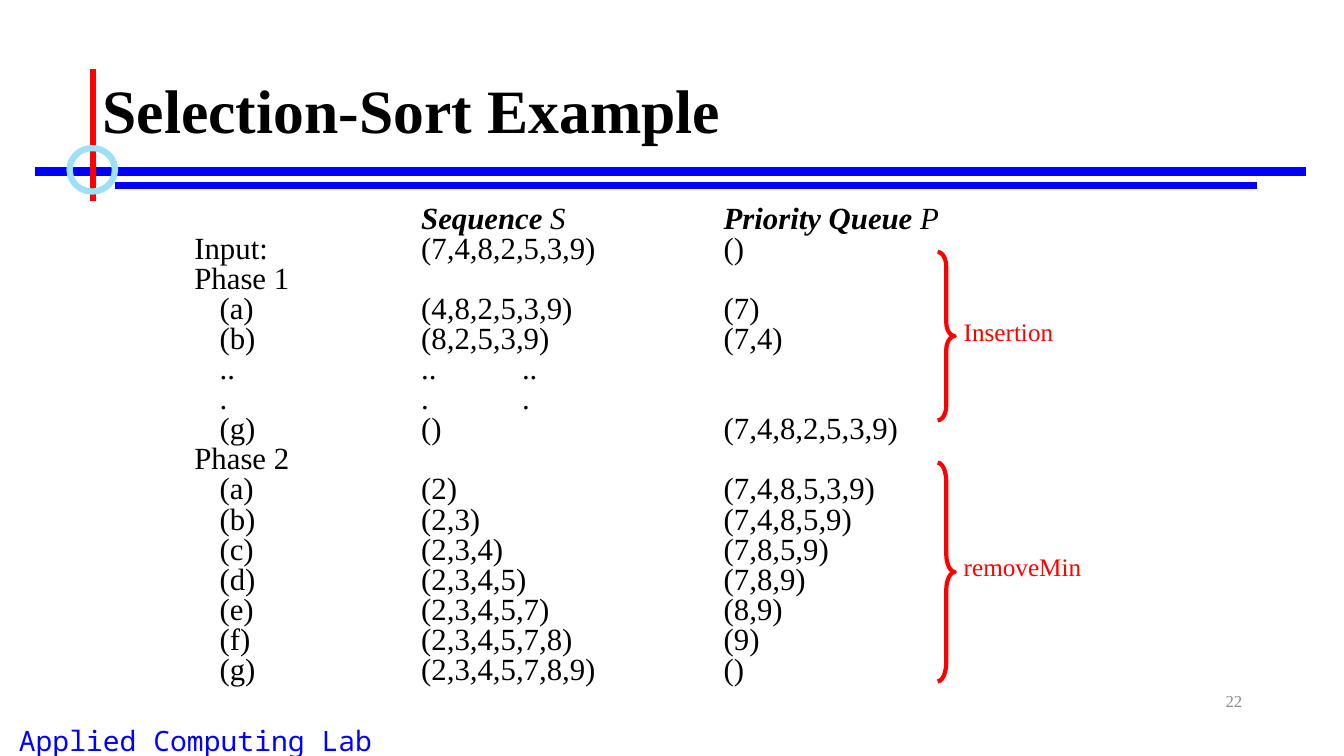
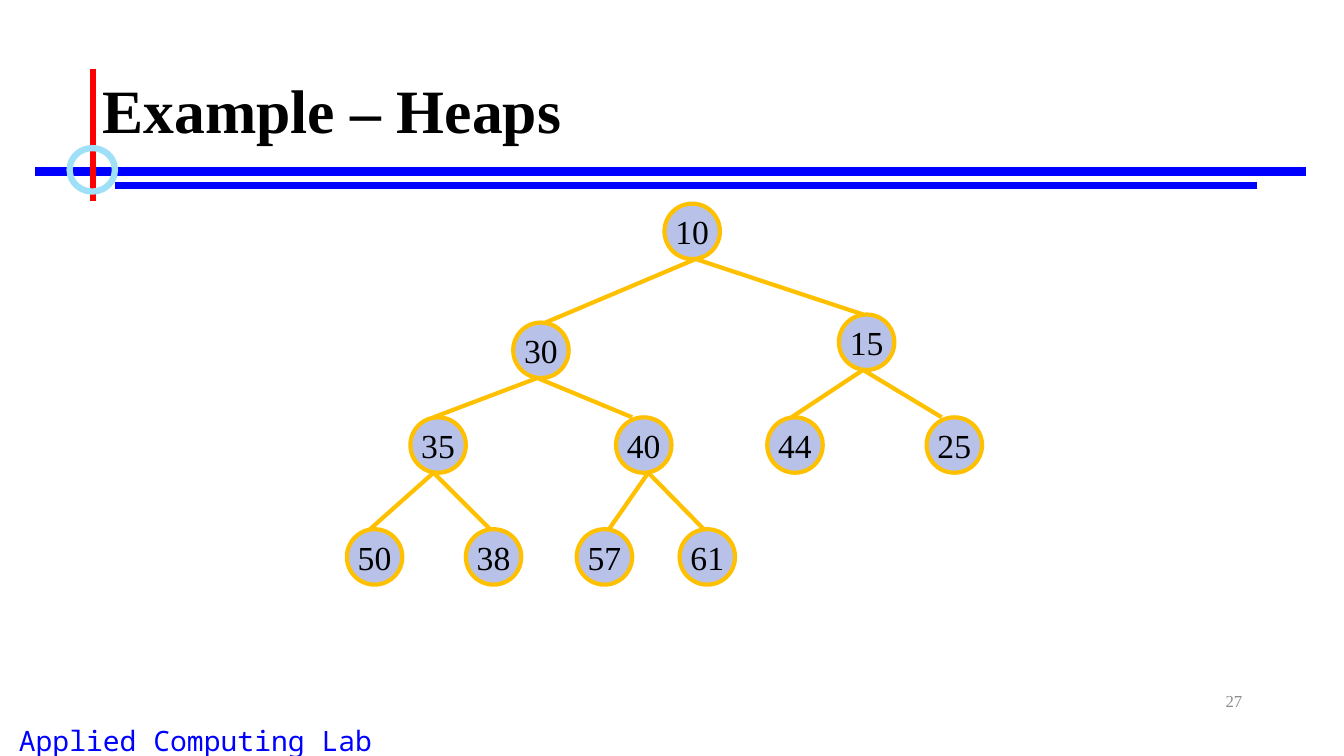
from lxml import etree
from pptx import Presentation
from pptx.dml.color import RGBColor
from pptx.enum.shapes import MSO_CONNECTOR, MSO_SHAPE
from pptx.enum.text import MSO_ANCHOR, PP_ALIGN
from pptx.oxml.ns import qn
from pptx.util import Inches, Pt

STRAIGHT = MSO_CONNECTOR.STRAIGHT
OVAL = MSO_SHAPE.OVAL
RIGHT_BRACE = MSO_SHAPE.RIGHT_BRACE
TOP, MIDDLE = MSO_ANCHOR.TOP, MSO_ANCHOR.MIDDLE
LEFT, CENTER, RIGHT = PP_ALIGN.LEFT, PP_ALIGN.CENTER, PP_ALIGN.RIGHT

BLACK = RGBColor(0x00, 0x00, 0x00)
BLUE = RGBColor(0x00, 0x00, 0xFF)
RED = RGBColor(0xFF, 0x00, 0x00)
SKY = RGBColor(0x9E, 0xE0, 0xF8)
GRAY = RGBColor(0x8C, 0x8C, 0x8C)
LAVENDER = RGBColor(0xB8, 0xC2, 0xE9)
GOLD = RGBColor(0xFF, 0xC0, 0x00)

SERIF = "Times New Roman"
MONO = "Noto Sans Mono"

NODE_SIZE = 0.55
COLUMN_TABS = (0.25, 2.25, 5.25)
DOT_TABS = (0.25, 2.25, 3.25)

SORT_ROWS = [
    ("Input:\t(7,4,8,2,5,3,9)\t()", COLUMN_TABS),
    ("Phase 1", COLUMN_TABS),
    ("\t(a)\t(4,8,2,5,3,9)\t(7)", COLUMN_TABS),
    ("\t(b)\t(8,2,5,3,9)\t(7,4)", COLUMN_TABS),
    ("\t..\t..\t..", DOT_TABS),
    ("\t.\t.\t.", DOT_TABS),
    ("\t(g)\t()\t(7,4,8,2,5,3,9)", COLUMN_TABS),
    ("Phase 2", COLUMN_TABS),
    ("\t(a)\t(2)\t(7,4,8,5,3,9)", COLUMN_TABS),
    ("\t(b)\t(2,3)\t(7,4,8,5,9)", COLUMN_TABS),
    ("\t(c)\t(2,3,4)\t(7,8,5,9)", COLUMN_TABS),
    ("\t(d)\t(2,3,4,5)\t(7,8,9)", COLUMN_TABS),
    ("\t(e)\t(2,3,4,5,7)\t(8,9)", COLUMN_TABS),
    ("\t(f)\t(2,3,4,5,7,8)\t(9)", COLUMN_TABS),
    ("\t(g)\t(2,3,4,5,7,8,9)\t()", COLUMN_TABS),
]

HEAP_NODES = {
    10: (6.59, 2.02),
    30: (5.09, 3.2), 15: (8.32, 3.12),
    35: (4.07, 4.14), 40: (6.11, 4.14), 44: (7.61, 4.14), 25: (9.19, 4.14),
    50: (3.44, 5.25), 38: (4.62, 5.25), 57: (5.72, 5.25), 61: (6.74, 5.25),
}

HEAP_EDGES = [
    (10, 6.9, {30: 5.41, 15: 8.56}),
    (15, 8.56, {44: 7.85, 25: 9.34}),
    (30, 5.33, {40: 6.27, 35: 4.3}),
    (35, 4.3, {50: 3.67, 38: 4.86}),
    (40, 6.43, {57: 6.04, 61: 6.98}),
]


class Deck:
    def __init__(self):
        self.presentation = Presentation()
        self.presentation.slide_width = Inches(13.33)
        self.presentation.slide_height = Inches(7.5)
        self.slide = None

    def new_slide(self, title, number):
        self.slide = self.presentation.slides.add_slide(self.presentation.slide_layouts[6])
        self.text("Applied Computing Lab", 0, 7.13, 3.88, 0.37, 20, BLUE, CENTER, font=MONO)
        self.line(0.35, 1.7, 12.95, 1.7, BLUE, 6)
        self.line(1.14, 1.84, 12.47, 1.84, BLUE, 4.5)
        self.line(0.92, 0.68, 0.92, 1.99, RED, 4.5)
        self.shape(OVAL, 0.69, 1.47, 0.45, 0.43, SKY, 4.5)
        heading = self.text(title, 0.92, 0.4, 11.5, 1.45, 44, BLACK, anchor=MIDDLE)
        heading.font.bold = True
        heading.line_spacing = 0.9
        self.text(str(number), 9.42, 6.75, 3, 0.4, 12, GRAY, RIGHT, MIDDLE)

    def style(self, paragraph, size, color, font=SERIF):
        paragraph.font.name = font
        paragraph.font.size = Pt(size)
        paragraph.font.color.rgb = color

    def text(self, content, left, top, width, height, size, color,
             align=LEFT, anchor=TOP, font=SERIF, wrap=True):
        box = self.slide.shapes.add_textbox(Inches(left), Inches(top), Inches(width), Inches(height))
        frame = box.text_frame
        frame.word_wrap = wrap
        frame.vertical_anchor = anchor
        frame.text = content
        paragraph = frame.paragraphs[0]
        paragraph.alignment = align
        self.style(paragraph, size, color, font)
        return paragraph

    def line(self, start_x, start_y, end_x, end_y, color, weight):
        connector = self.slide.shapes.add_connector(
            STRAIGHT, Inches(start_x), Inches(start_y), Inches(end_x), Inches(end_y))
        connector.line.color.rgb = color
        connector.line.width = Pt(weight)
        etree.SubElement(connector._element.spPr, qn("a:effectLst"))

    def shape(self, kind, left, top, width, height, color, weight, fill=None):
        shape = self.slide.shapes.add_shape(
            kind, Inches(left), Inches(top), Inches(width), Inches(height))
        shape.shadow.inherit = False
        shape.line.color.rgb = color
        shape.line.width = Pt(weight)
        if fill is None:
            shape.fill.background()
        else:
            shape.fill.solid()
            shape.fill.fore_color.rgb = fill
        return shape

    def brace(self, label, top, height, curve, label_top, label_width):
        brace = self.shape(RIGHT_BRACE, 9.3, top, 0.17, height, RED, 3)
        brace.adjustments[0] = curve
        self.text(label, 9.46, label_top, label_width, 0.4, 18, RED, wrap=False)

    def node(self, value, left, top):
        node = self.shape(OVAL, left, top, NODE_SIZE, NODE_SIZE, GOLD, 3, LAVENDER)
        frame = node.text_frame
        frame.word_wrap = False
        frame.vertical_anchor = MIDDLE
        frame.text = str(value)
        paragraph = frame.paragraphs[0]
        paragraph.alignment = CENTER
        self.style(paragraph, 24, BLACK)

    def tabbed_row(self, paragraph, pieces, tabs):
        tab_list = etree.SubElement(paragraph._p.get_or_add_pPr(), qn("a:tabLst"))
        for position in tabs:
            etree.SubElement(tab_list, qn("a:tab"), pos=str(Inches(position)), algn="l")
        self.style(paragraph, 22, BLACK)
        paragraph.line_spacing = 0.7
        for content, bold, italic in pieces:
            run = paragraph.add_run()
            run.text = content
            run.font.bold = bold
            run.font.italic = italic

    def sort_trace(self, rows):
        box = self.slide.shapes.add_textbox(Inches(1.83), Inches(2.02), Inches(11.5), Inches(4.73))
        frame = box.text_frame
        frame.word_wrap = True
        header = [("\t\tSequence ", True, True), ("S\t", False, True),
                  ("Priority Queue ", True, True), ("P", False, True)]
        self.tabbed_row(frame.paragraphs[0], header, COLUMN_TABS)
        for content, tabs in rows:
            first, *others = content.split(",")
            pieces = [(first, False, False)]
            for other in others:
                pieces += [(",", False, True), (other, False, False)]
            paragraph = frame.add_paragraph()
            self.tabbed_row(paragraph, pieces, tabs)
            paragraph.space_before = Pt(3)

    def heap(self, nodes, edges):
        for value, (left, top) in nodes.items():
            self.node(value, left, top)
        for parent, joint_x, children in edges:
            joint_y = nodes[parent][1] + NODE_SIZE
            for child, child_x in children.items():
                self.line(joint_x, joint_y, child_x, nodes[child][1], GOLD, 3)


def main():
    deck = Deck()
    deck.new_slide("Selection-Sort Example", 22)
    deck.sort_trace(SORT_ROWS)
    deck.brace("Insertion", 2.5, 1.67, 0.83, 3.09, 1.1)
    deck.brace("removeMin", 4.59, 2.17, 1.08, 5.42, 1.38)

    deck.new_slide("Example – Heaps", 27)
    deck.heap(HEAP_NODES, HEAP_EDGES)
    deck.presentation.save("out.pptx")


if __name__ == "__main__":
    main()
